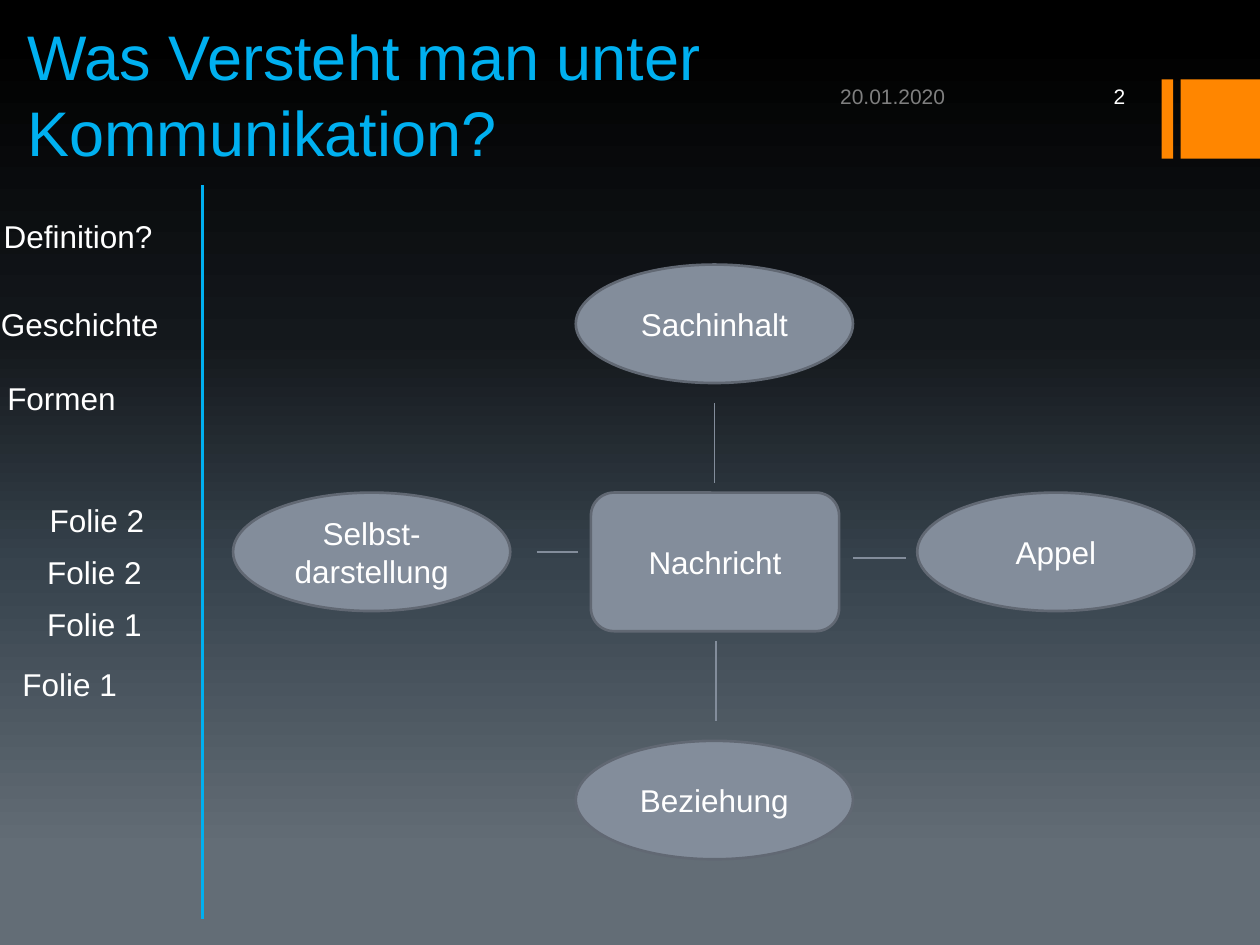
from lxml import etree
from pptx import Presentation
from pptx.dml.color import RGBColor
from pptx.enum.shapes import MSO_CONNECTOR, MSO_SHAPE as SHAPE
from pptx.enum.text import MSO_ANCHOR as ANCHOR, PP_ALIGN as ALIGN
from pptx.oxml.ns import qn
from pptx.util import Inches, Pt

COLORS = {
    "accent": "FF8600", "blue": "00B0F0", "white": "FFFFFF", "date": "7F7F7F",
    "node": "838D9B", "outline": "616873",
}
BACKGROUND_STOPS = [(4, "000000"), (36, "14181C"), (60, "37434D"), (90, "636D76")]


def color(name):
    return RGBColor.from_string(COLORS[name])


def write(shape, text, size=18, font_color="white", align=ALIGN.LEFT, anchor=ANCHOR.MIDDLE):
    """Put one formatted, wrapping paragraph into a shape."""
    frame = shape.text_frame
    frame.text = text
    frame.word_wrap = True
    frame.vertical_anchor = anchor
    paragraph = frame.paragraphs[0]
    paragraph.alignment = align
    font = paragraph.runs[0].font
    font.name, font.size = "Arial", Pt(size)
    font.color.rgb = color(font_color)


presentation = Presentation()
presentation.slide_width, presentation.slide_height = Inches(10), Inches(7.5)
slide = presentation.slides.add_slide(presentation.slide_layouts[6])
shapes = slide.shapes

# Background gradient, running downwards
background = slide.background.fill
background.gradient()
background.gradient_angle = 270
stop_list = slide.element.find(".//" + qn("a:gsLst"))
for stop in list(stop_list):
    stop_list.remove(stop)
for percent, value in BACKGROUND_STOPS:
    stop = etree.SubElement(stop_list, qn("a:gs"), pos=str(percent * 1000))
    etree.SubElement(stop, qn("a:srgbClr"), val=value)

# Orange bars at the right edge
for left, width in [(9.22, 0.09), (9.37, 0.63)]:
    bar = shapes.add_shape(SHAPE.RECTANGLE, Inches(left), Inches(0.63), Inches(width), Inches(0.63))
    bar.shadow.inherit = False
    bar.fill.solid()
    bar.fill.fore_color.rgb = color("accent")
    bar.line.fill.background()

# Title, date, slide number and side navigation
TEXTS = [
    ("Was Versteht man unter Kommunikation?", 0.12, 0.13, 6.36, 1.26, 36, "blue", ALIGN.LEFT, ANCHOR.BOTTOM),
    ("20.01.2020", 6.57, 0.6, 1.3, 0.33, 12, "date", ALIGN.LEFT, ANCHOR.MIDDLE),
    ("2", 8, 0.6, 1.03, 0.33, 12, "white", ALIGN.RIGHT, ANCHOR.MIDDLE),
]
NAVIGATION = [
    ("Definition?", -0.17, 1.67, 1.58, ALIGN.CENTER),
    ("Geschichte", -0.09, 2.37, 1.54, ALIGN.LEFT),
    ("Formen", -0.04, 2.96, 1.54, ALIGN.LEFT),
    ("Folie 2", 0, 3.93, 1.54, ALIGN.CENTER),
    ("Folie 2", -0.02, 4.34, 1.54, ALIGN.CENTER),
    ("Folie 1", -0.02, 4.75, 1.54, ALIGN.CENTER),
    ("Folie 1", 0.08, 5.23, 1.54, ALIGN.LEFT),
]
for text, left, top, width, align in NAVIGATION:
    TEXTS.append((text, left, top, width, 0.4, 18, "white", align, ANCHOR.TOP))
for text, left, top, width, height, *style in TEXTS:
    box = shapes.add_textbox(Inches(left), Inches(top), Inches(width), Inches(height))
    write(box, text, *style)

# Message in the middle, its four sides around it
NODES = [
    ("Nachricht", SHAPE.ROUNDED_RECTANGLE, 4.69, 3.91, 1.97, 1.1),
    ("Sachinhalt", SHAPE.OVAL, 4.57, 2.1, 2.2, 0.94),
    ("Beziehung", SHAPE.OVAL, 4.57, 5.88, 2.2, 0.94),
    ("Appel", SHAPE.OVAL, 7.28, 3.91, 2.2, 0.94),
    ("Selbst-darstellung", SHAPE.OVAL, 1.85, 3.91, 2.2, 0.94),
]
for text, kind, *place in NODES:
    node = shapes.add_shape(kind, *map(Inches, place))
    node.shadow.inherit = False
    node.fill.solid()
    node.fill.fore_color.rgb = color("node")
    node.line.color.rgb = color("outline")
    node.line.width = Pt(1.5)
    write(node, text, align=ALIGN.CENTER)

# Navigation divider and the links between the nodes
LINES = [
    (1.61, 1.47, 1.61, 7.29, "blue", 1.75),
    (5.67, 3.2, 5.67, 3.83, "node", 1),
    (4.26, 4.38, 4.59, 4.38, "node", 1),
    (7.19, 4.43, 6.77, 4.43, "node", 1),
    (5.68, 5.09, 5.68, 5.72, "node", 1),
]
for *ends, line_color, width in LINES:
    connector = shapes.add_connector(MSO_CONNECTOR.STRAIGHT, *map(Inches, ends))
    connector.line.color.rgb = color(line_color)
    connector.line.width = Pt(width)
    etree.SubElement(connector.element.spPr, qn("a:effectLst"))

presentation.save("out.pptx")
